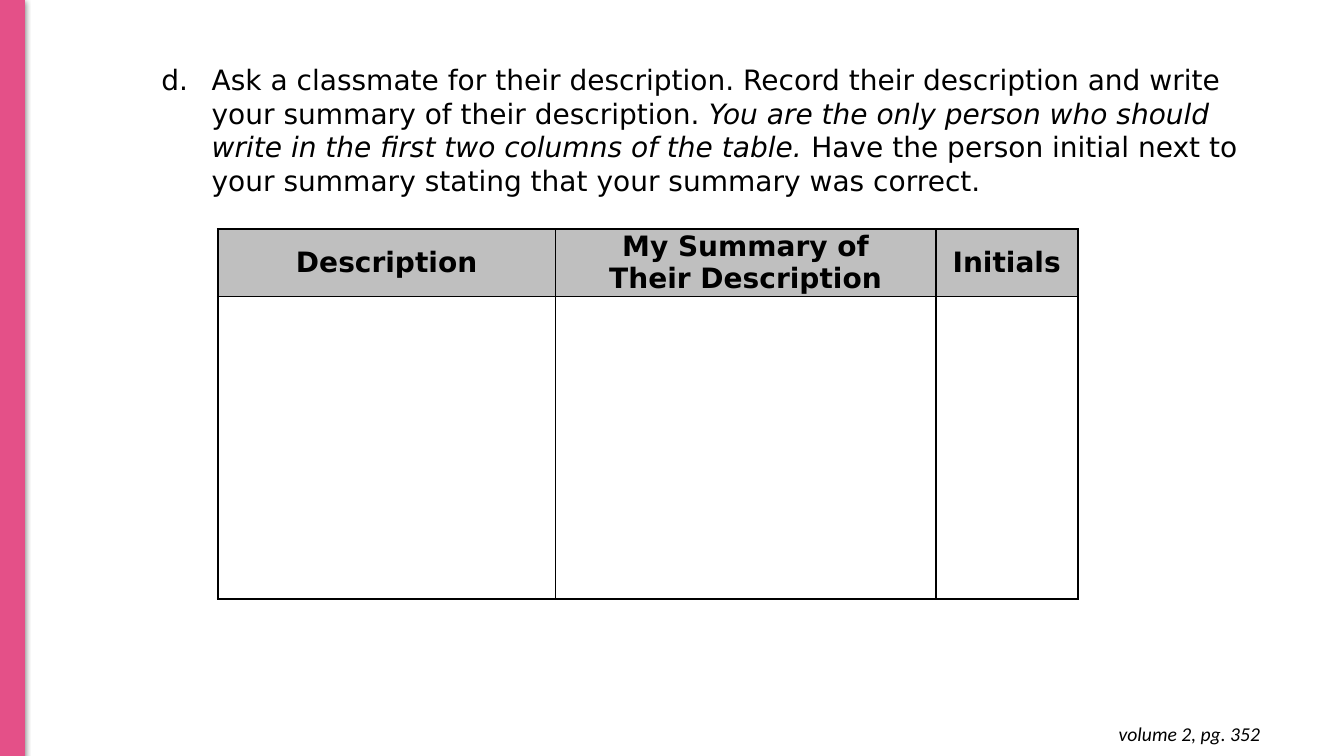
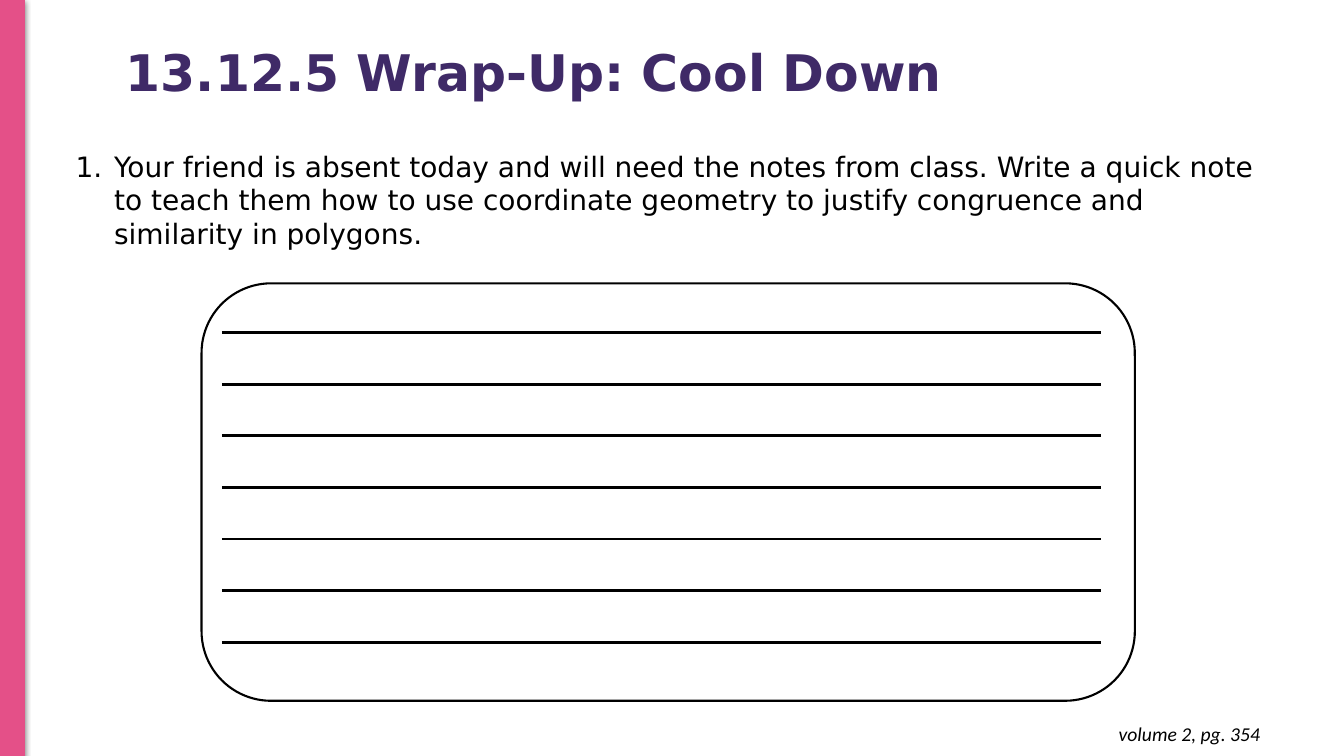
from lxml import etree
from pptx import Presentation
from pptx.dml.color import RGBColor
from pptx.enum.shapes import MSO_CONNECTOR as LINE, MSO_SHAPE as SHAPE
from pptx.enum.text import MSO_ANCHOR as ANCHOR, MSO_AUTO_SIZE as AUTO, PP_ALIGN as ALIGN
from pptx.oxml import parse_xml
from pptx.oxml.ns import nsdecls, qn
from pptx.util import Cm, Pt

PINK = RGBColor(0xE4, 0x50, 0x88)
PURPLE = RGBColor(0x3F, 0x2A, 0x67)
GREY = RGBColor(0xBF, 0xBF, 0xBF)
BLACK = RGBColor(0, 0, 0)
FONT = "DejaVu Sans"
FOOTER_FONT = "Calibri"

BAND_SHADOW = f"""<a:effectLst {nsdecls('a')}>
  <a:outerShdw blurRad="57150" dist="19050" dir="5400000" algn="ctr" rotWithShape="0">
    <a:srgbClr val="000000"><a:alpha val="50000"/></a:srgbClr>
  </a:outerShdw>
</a:effectLst>"""


def add_run(p, text, size=20, color=BLACK, name=FONT, bold=False, italic=False):
    r = p.add_run()
    r.text = text
    r.font.name = name
    r.font.size = Pt(size)
    r.font.bold = bold
    r.font.italic = italic
    r.font.color.rgb = color


def fill_question(body, box, scheme, start, margin, hanging, parts):
    """Place the body placeholder and write one numbered paragraph of (text, italic) parts."""
    body.left, body.top, body.width, body.height = [Cm(v) for v in box]
    tf = body.text_frame
    tf.auto_size = AUTO.NONE
    tf.vertical_anchor = ANCHOR.TOP
    p = tf.paragraphs[0]
    pPr = p._p.get_or_add_pPr()
    pPr.set("marL", str(Cm(margin)))
    pPr.set("indent", str(-Cm(hanging)))
    color = etree.SubElement(pPr, qn("a:buClr"))
    etree.SubElement(color, qn("a:srgbClr"), val=str(BLACK))
    etree.SubElement(pPr, qn("a:buFont"), typeface=FONT)
    etree.SubElement(pPr, qn("a:buAutoNum"), type=scheme, startAt=str(start))
    p.space_before = Pt(0)
    for text, italic in parts:
        add_run(p, text, italic=italic)


prs = Presentation()
prs.slide_width, prs.slide_height = Cm(33.87), Cm(19.05)

# Both slides: pink band on the left, page reference at the bottom right
slides = []
for page in (352, 354):
    s = prs.slides.add_slide(prs.slide_layouts[1])
    band = s.shapes.add_shape(SHAPE.RECTANGLE, 0, 0, Cm(0.61), prs.slide_height)
    band.fill.solid()
    band.fill.fore_color.rgb = PINK
    band.line.color.rgb = PINK
    band.line.width = Pt(0.75)
    band._element.spPr.append(parse_xml(BAND_SHADOW))

    footer = s.shapes.add_textbox(Cm(24.69), Cm(17.95), Cm(7.32), Cm(1.12))
    tf = footer.text_frame
    tf.word_wrap = True
    tf.margin_left = tf.margin_right = tf.margin_top = tf.margin_bottom = Cm(0.25)
    p = tf.paragraphs[0]
    p.alignment = ALIGN.RIGHT
    add_run(p, f"volume 2, pg. {page}", size=14, name=FOOTER_FONT, italic=True)
    slides.append(s)
partner_slide, wrap_up_slide = slides

# Slide 1: partner summary table
title = partner_slide.shapes.title
title._element.getparent().remove(title._element)
fill_question(partner_slide.placeholders[1], (2.54, 1.45, 29.21, 3.68),
              "alphaLcPeriod", 4, 2.54, 1.27, [
    ("Ask a classmate for their description. Record their description "
     "and write your summary of their description. ", False),
    ("You are the only person who should write in the first two columns of the table.", True),
    (" Have the person initial next to your summary stating that your summary was correct.", False),
])

HEADERS = [["Description"], ["My Summary of", "Their Description"], ["Initials"]]
COLUMNS = (8.51, 9.58, 3.58)
ROWS = (1.7, 7.62)
table = partner_slide.shapes.add_table(len(ROWS), len(COLUMNS), Cm(5.49), Cm(5.77),
                                       Cm(sum(COLUMNS)), Cm(sum(ROWS))).table
table.first_row = table.horz_banding = False
for column, width in zip(table.columns, COLUMNS):
    column.width = Cm(width)
for row, height in zip(table.rows, ROWS):
    row.height = Cm(height)

for cell in table.iter_cells():
    tcPr = cell._tc.get_or_add_tcPr()
    for side in ("lnL", "lnR", "lnT", "lnB"):
        border = etree.SubElement(tcPr, qn(f"a:{side}"), w=str(Pt(1.5)))
        fill = etree.SubElement(border, qn("a:solidFill"))
        etree.SubElement(fill, qn("a:srgbClr"), val=str(BLACK))
    cell.fill.background()

for col, lines in enumerate(HEADERS):
    cell = table.cell(0, col)
    cell.fill.solid()
    cell.fill.fore_color.rgb = GREY
    cell.vertical_anchor = ANCHOR.MIDDLE
    cell.margin_left = cell.margin_right = Cm(0.23)
    cell.margin_top = cell.margin_bottom = 0
    p = cell.text_frame.paragraphs[0]
    p.alignment = ALIGN.CENTER
    for i, line in enumerate(lines):
        if i:
            p.add_line_break()
        add_run(p, line, bold=True)

# Slide 2: title, question and a ruled note card
title = wrap_up_slide.shapes.title
title.left, title.top, title.width, title.height = Cm(2.92), Cm(0.05), Cm(29.36), Cm(3.68)
tf = title.text_frame
tf.auto_size = AUTO.NONE
tf.vertical_anchor = ANCHOR.MIDDLE
p = tf.paragraphs[0]
p.alignment = ALIGN.LEFT
p.line_spacing = 0.9
add_run(p, "13.12.5 Wrap-Up: Cool Down", size=36, color=PURPLE, bold=True)

fill_question(wrap_up_slide.placeholders[1], (1.65, 3.63, 30.35, 2.82),
              "arabicPeriod", 1, 0.97, 0.97, [
    ("Your friend is absent today and will need the notes from class. Write a quick note "
     "to teach them how to use coordinate geometry to justify congruence and "
     "similarity in polygons.", False),
])

RULES = 7
FIRST_RULE, RULE_GAP = 8.38, 1.3
note_card = wrap_up_slide.shapes.add_group_shape()
frame = note_card.shapes.add_shape(SHAPE.ROUNDED_RECTANGLE,
                                   Cm(5.08), Cm(7.14), Cm(23.52), Cm(10.52))
frame.shadow.inherit = False
frame.fill.background()
frame.line.color.rgb = BLACK
frame.line.width = Pt(1.5)
for i in range(RULES):
    y = Cm(FIRST_RULE + i * RULE_GAP)
    rule = note_card.shapes.add_connector(LINE.STRAIGHT, Cm(5.59), y, Cm(27.74), y)
    rule.line.color.rgb = BLACK
    rule.line.width = Pt(2)
    etree.SubElement(rule._element.spPr, qn("a:effectLst"))

prs.save("out.pptx")
